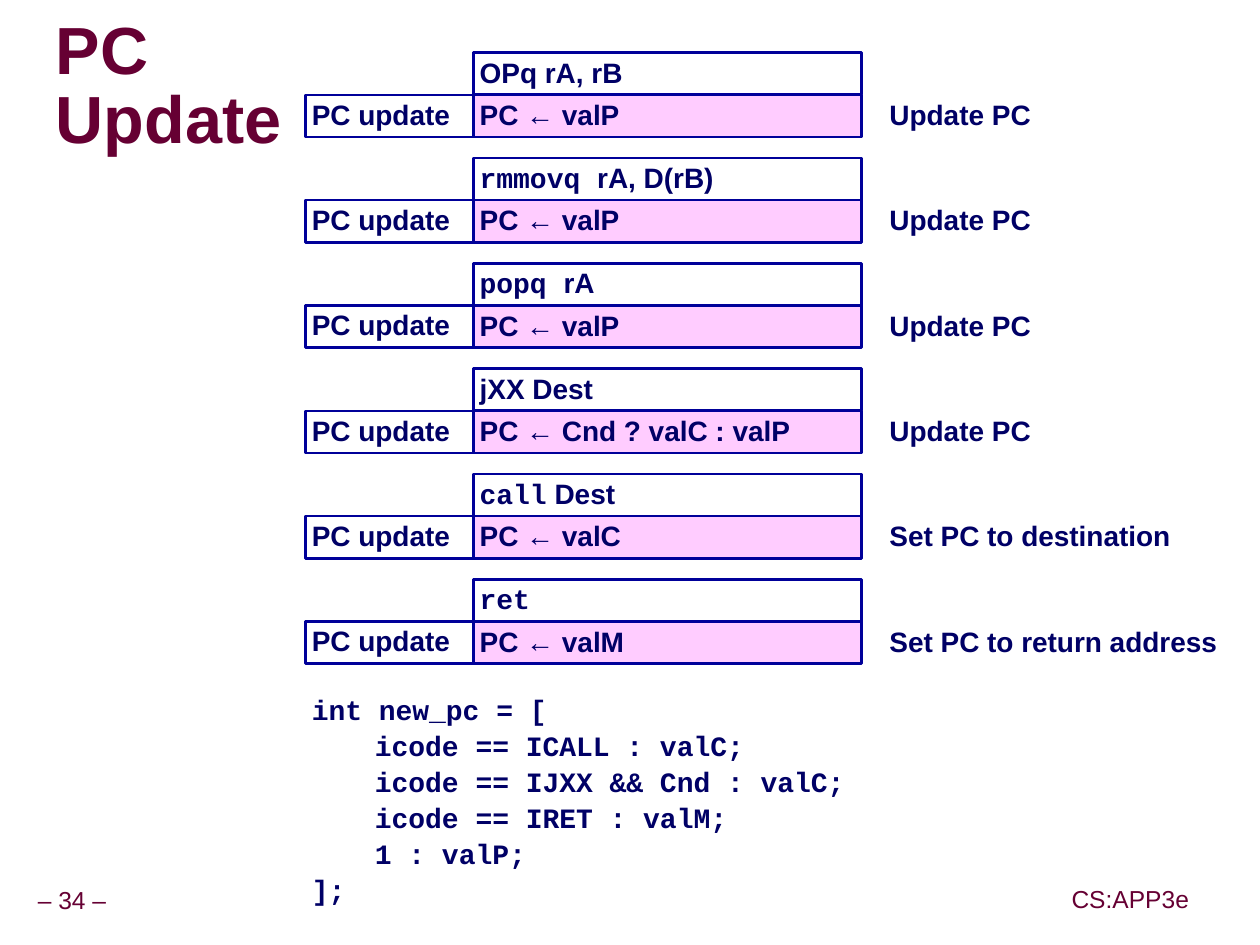
from dataclasses import dataclass

from lxml import etree
from pptx import Presentation, util as u
from pptx.dml.color import RGBColor
from pptx.enum import shapes, text
from pptx.oxml import ns


@dataclass(frozen=True)
class Theme:
    sans: str = "Arial"
    mono: str = "Courier New"
    ink: str = "000066"
    edge: str = "000099"
    wine: str = "660033"
    pink: str = "FFCCFF"
    shade: str = "969696"
    head: int = 38
    body: int = 16
    foot: int = 14
    rule: float = 1.5
    inset: float = 0.13


def rgb(code):
    return RGBColor.from_string(code)


def put(para, words, font, size, color, bold=True):
    """Add one formatted run to a paragraph."""
    run = para.add_run()
    run.text = words
    face = run.font
    face.name, face.size, face.bold = font, u.Pt(size), bold
    face.color.rgb = rgb(color)
    return run


def cast(run, color):
    """Give a run a shadow down and to the right."""
    props = run.font._element
    fx = etree.Element(ns.qn("a:effectLst"))
    drop = etree.SubElement(fx, ns.qn("a:outerShdw"), dist="53882", dir="2700000")
    etree.SubElement(drop, ns.qn("a:srgbClr"), val=color)
    props.find(ns.qn("a:solidFill")).addnext(fx)


class Deck:
    def __init__(self, theme, wide, high):
        self.theme = theme
        self.file = Presentation()
        self.file.slide_width, self.file.slide_height = u.Cm(wide), u.Cm(high)
        self.slide = self.file.slides.add_slide(self.file.slide_layouts[5])

    def frame(self, shape, inset, anchor, wrap=True):
        body = shape.text_frame
        body.auto_size = text.MSO_AUTO_SIZE.NONE
        body.word_wrap, body.vertical_anchor = wrap, anchor
        body.margin_left = body.margin_right = u.Cm(inset)
        body.margin_top = body.margin_bottom = u.Cm(inset)
        return body

    def title(self, lines, *area):
        look, shape = self.theme, self.slide.shapes.title
        shape.left, shape.top, shape.width, shape.height = map(u.Cm, area)
        body = self.frame(shape, 0, text.MSO_ANCHOR.MIDDLE)
        para = body.paragraphs[0]
        para.alignment, para.line_spacing = text.PP_ALIGN.LEFT, 0.87
        for i, line in enumerate(lines):
            if i:
                para.add_line_break()
            cast(put(para, line, look.sans, look.head, look.wine), look.shade)

    def label(self, shape, op="", words="", mid=False):
        """Write a line: op in the code font, then words."""
        look = self.theme
        anchor = text.MSO_ANCHOR.MIDDLE if mid else text.MSO_ANCHOR.TOP
        para = self.frame(shape, look.inset, anchor).paragraphs[0]
        para.alignment, para.line_spacing = text.PP_ALIGN.LEFT, 0.9
        for part, font in ((op, look.mono), (words, look.sans)):
            if part:
                put(para, part, font, look.body, look.ink)

    def box(self, area, fill=None, **label):
        shape = self.slide.shapes.add_shape(
            shapes.MSO_SHAPE.RECTANGLE, *map(u.Cm, area))
        shape.shadow.inherit = False
        if fill:
            shape.fill.solid()
            shape.fill.fore_color.rgb = rgb(fill)
        else:
            shape.fill.background()
        shape.line.color.rgb = rgb(self.theme.edge)
        shape.line.width = u.Pt(self.theme.rule)
        self.label(shape, **label)

    def blank(self, area):
        return self.slide.shapes.add_textbox(*map(u.Cm, area))

    def note(self, area, words):
        self.label(self.blank(area), words=words)

    def code(self, area, lines):
        look = self.theme
        body = self.frame(self.blank(area), look.inset, text.MSO_ANCHOR.TOP)
        for i, line in enumerate(lines):
            para = body.add_paragraph() if i else body.paragraphs[0]
            para.line_spacing = 1.07
            put(para, line, look.mono, look.body, look.ink)

    def foot(self, area, words):
        look = self.theme
        body = self.frame(self.blank(area), look.inset,
                          text.MSO_ANCHOR.MIDDLE, wrap=False)
        para = body.paragraphs[0]
        para.alignment, para.line_spacing = text.PP_ALIGN.CENTER, 0.9
        put(para, words, look.sans, look.foot, look.wine, bold=False)


STEPS = [
    ("", "OPq rA, rB", "valP", "Update PC"),
    ("rmmovq ", "rA, D(rB)", "valP", "Update PC"),
    ("popq ", "rA", "valP", "Update PC"),
    ("", "jXX Dest", "Cnd ? valC : valP", "Update PC"),
    ("call", " Dest", "valC", "Set PC to destination"),
    ("ret", "", "valM", "Set PC to return address"),
]
LOGIC = [
    "int new_pc = [",
    "\ticode == ICALL : valC;",
    "\ticode == IJXX && Cnd : valC;",
    "\ticode == IRET : valM;",
    "\t1 : valP;",
    "];",
]


def main():
    theme = Theme()
    deck = Deck(theme, 25.37, 19.02)
    deck.title(["PC", "Update"], 1.12, 0.69, 24.18, 2.16)

    stage, work, remark = 6.15, 9.53, 17.78
    top, row, pitch, wide = 1.06, 0.85, 2.12, 7.82
    for i, (op, args, value, why) in enumerate(STEPS):
        y = top + i * pitch
        low = y + row
        deck.box((work, y, wide, row), op=op, words=args)
        deck.box((work, low, wide, row), theme.pink, words=f"PC ← {value}")
        deck.box((stage, low, work - stage, row), words="PC update", mid=True)
        deck.note((remark, low, wide, row), why)

    deck.code((stage, 13.76, 14.82, 4.32), LOGIC)
    deck.foot((0.61, 17.75, 1.68, 0.8), "– 34 –")
    deck.foot((21.44, 17.73, 2.64, 0.8), "CS:APP3e")
    deck.file.save("out.pptx")


if __name__ == "__main__":
    main()
